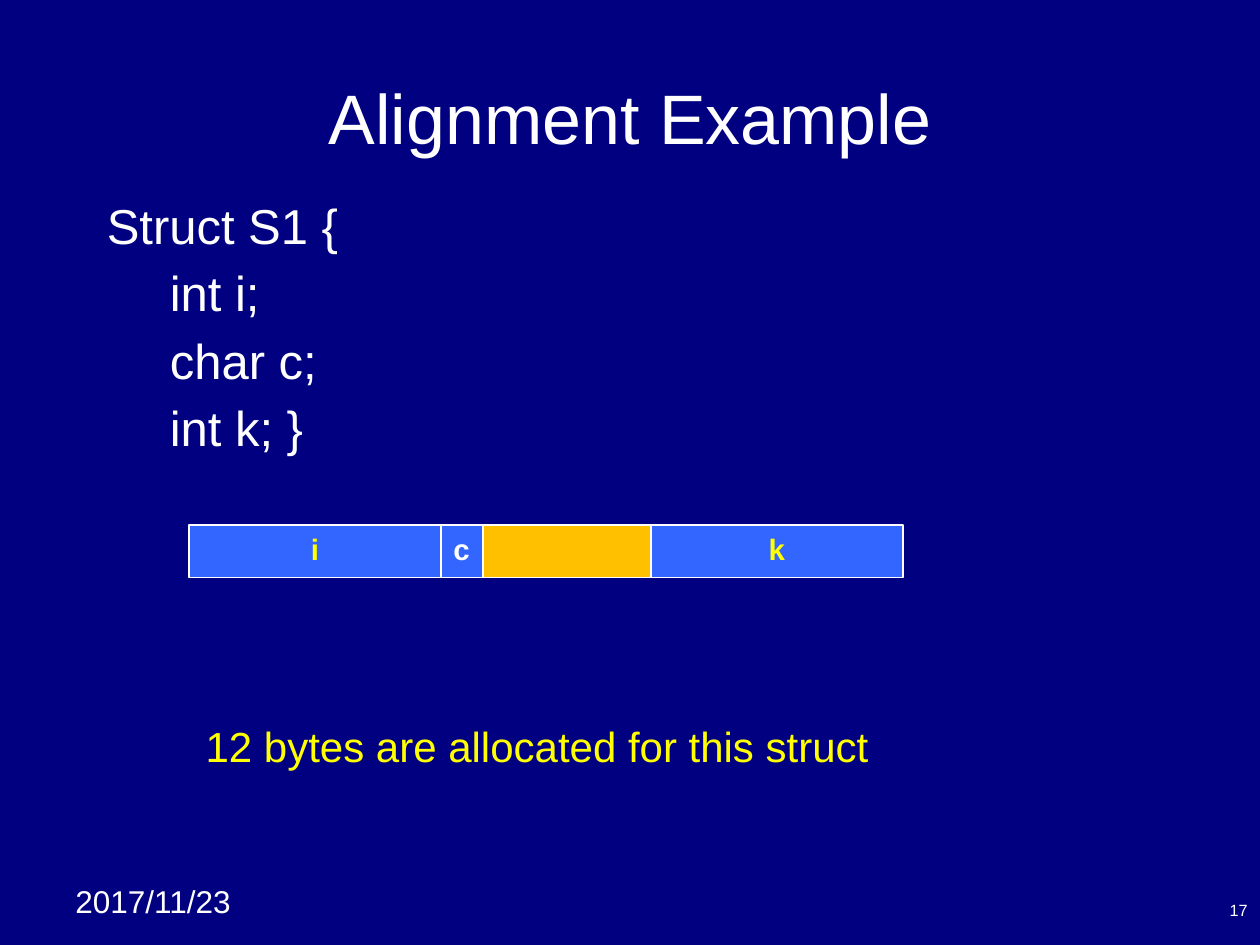
from pptx import Presentation
from pptx.dml.color import RGBColor
from pptx.enum.shapes import MSO_SHAPE as Preset
from pptx.enum.text import MSO_ANCHOR as Anchor, PP_ALIGN as Align
from pptx.util import Inches, Pt

COLORS = {"navy": "000080", "blue": "3366FF", "gold": "FFC000",
          "yellow": "FFFF00", "white": "FFFFFF"}
COLUMNS, ROWS = 60, 45


class SlideBuilder:
    """Style and current slide, measured on a grid of 60 columns by 45 rows."""

    font = "Arial"

    def __init__(self, presentation):
        self.slide = presentation.slides.add_slide(presentation.slide_layouts[6])
        self.column = presentation.slide_width / COLUMNS
        self.row = presentation.slide_height / ROWS
        self.paint(self.slide.background, "navy")

    def paint(self, target, color):
        target.fill.solid()
        target.fill.fore_color.rgb = RGBColor.from_string(COLORS[color])

    def place(self, left, top, width, height):
        return (round(left * self.column), round(top * self.row),
                round(width * self.column), round(height * self.row))

    def add_lines(self, frame, lines, size, color="white", align=Align.LEFT,
                  anchor=Anchor.TOP, bold=False, gap=0):
        frame.vertical_anchor = anchor
        for index, line in enumerate(lines):
            paragraph = frame.add_paragraph() if index else frame.paragraphs[0]
            paragraph.alignment = align
            if index:
                paragraph.space_before = Pt(gap)
            run = paragraph.add_run()
            run.text = line
            run.font.name = self.font
            run.font.size = Pt(size)
            run.font.bold = bold
            run.font.color.rgb = RGBColor.from_string(COLORS[color])

    def text(self, box, lines, size, wrap=True, **style):
        frame = self.slide.shapes.add_textbox(*self.place(*box)).text_frame
        frame.word_wrap = wrap
        self.add_lines(frame, lines, size, **style)

    def cell(self, box, label, fill, color, align):
        shape = self.slide.shapes.add_shape(Preset.RECTANGLE, *self.place(*box))
        shape.shadow.inherit = False
        self.paint(shape, fill)
        shape.line.color.rgb = RGBColor.from_string(COLORS["white"])
        shape.line.width = Pt(0.75)
        if label:
            self.add_lines(shape.text_frame, [label], 16.8, color, align, bold=True)

    def memory(self, left, top, height, cells):
        for label, width, *style in cells:
            self.cell((left, top, width, height), label, *style)
            left += width


def main():
    presentation = Presentation()
    presentation.slide_width, presentation.slide_height = Inches(10), Inches(7.5)
    builder = SlideBuilder(presentation)
    builder.text((3, 41.7, 9.5, 2.4), ["2017/11/23"], 18)
    builder.text((3, 1.8, 54, 7.5), ["Alignment Example"], 40,
                 align=Align.CENTER, anchor=Anchor.MIDDLE)
    builder.text((4.5, 9, 51, 31),
                 ["Struct S1 {", "\tint i;", "\tchar c;", "\tint k; }"], 28, gap=5)
    builder.text((46, 42.5, 14, 1.6), ["17"], 9.3,
                 align=Align.RIGHT, anchor=Anchor.BOTTOM)
    builder.memory(9, 25, 2.5, [
        ("i", 12, "blue", "yellow", Align.CENTER),
        ("c", 2, "blue", "white", Align.LEFT),
        ("", 8, "gold", "white", Align.LEFT),
        ("k", 12, "blue", "yellow", Align.CENTER),
    ])
    builder.text((9.2, 34, 32.8, 3), ["12 bytes are allocated for this struct"], 24,
                 wrap=False, color="yellow")
    presentation.save("out.pptx")


if __name__ == "__main__":
    main()
